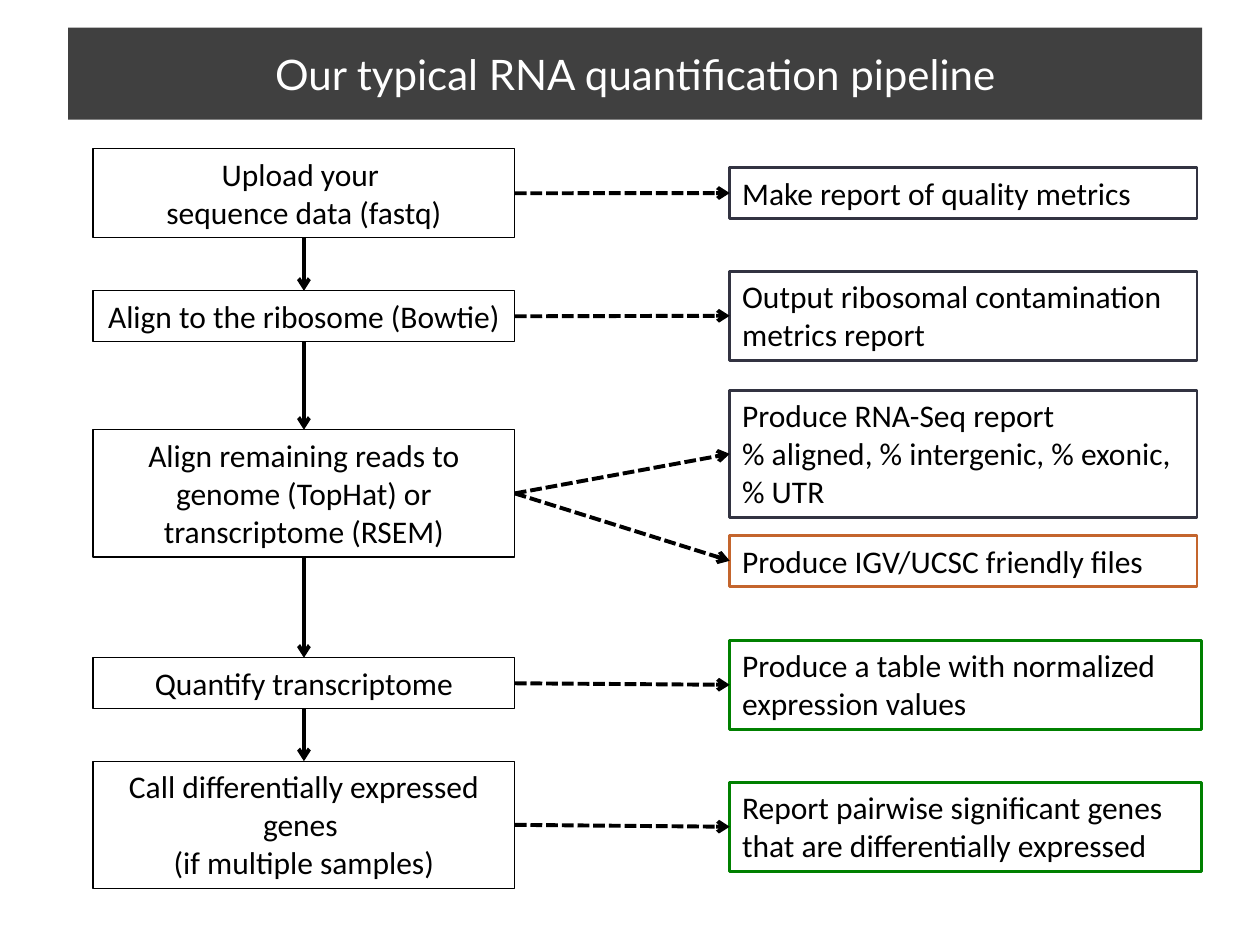
from lxml.etree import SubElement
from pptx import Presentation
from pptx.dml.color import RGBColor
from pptx.enum.dml import MSO_LINE
from pptx.enum.shapes import MSO_CONNECTOR
from pptx.enum.text import MSO_ANCHOR, MSO_AUTO_SIZE, PP_ALIGN
from pptx.oxml.ns import qn
from pptx.util import Pt

BLACK, WHITE, CHARCOAL = "000000", "FFFFFF", "404040"
NAVY, ORANGE, GREEN = "323341", "C4652D", "008000"
STEP_LEFT, STEP_WIDTH = 53.2, 241
OUTPUT_LEFT, OUTPUT_WIDTH, TABLE_WIDTH = 417, 267, 269.5
BOX_HEIGHT = {1: 29.1, 2: 50.9, 3: 72.7}  # by number of text lines
TOP, LEFT, BOTTOM, RIGHT = range(4)  # connection sites of a rectangle

# Top, lines, text
STEPS = [
    (85, 2, "Upload your \nsequence data (fastq)"),
    (166.2, 1, "Align to the ribosome (Bowtie)"),
    (245.6, 3, "Align remaining reads to genome (TopHat) or transcriptome (RSEM)"),
    (375.9, 1, "Quantify transcriptome"),
    (435, 3, "Call differentially expressed genes \n(if multiple samples)"),
]
# Index of the step, top, lines, width, colour, text
OUTPUTS = [
    (0, 95.8, 1, OUTPUT_WIDTH, NAVY, "Make report of quality metrics"),
    (1, 155, 2, OUTPUT_WIDTH, NAVY, "Output ribosomal contamination metrics report"),
    (2, 223, 3, OUTPUT_WIDTH, NAVY,
     "Produce RNA-Seq report\n% aligned, % intergenic, % exonic, % UTR"),
    (2, 305.9, 1, OUTPUT_WIDTH, ORANGE, "Produce IGV/UCSC friendly files"),
    (3, 365.9, 2, TABLE_WIDTH, GREEN,
     "Produce a table with normalized expression values"),
    (4, 447, 2, TABLE_WIDTH, GREEN,
     "Report pairwise significant genes that are differentially expressed"),
]


def rgb(value):
    return RGBColor.from_string(value)


def add_text(slide, left, top, width, height, text, align,
             size=18, font="Calibri", color=BLACK):
    box = slide.shapes.add_textbox(Pt(left), Pt(top), Pt(width), Pt(height))
    frame = box.text_frame
    frame.word_wrap = True
    frame.text = text
    for paragraph in frame.paragraphs:
        paragraph.alignment = align
        for run in paragraph.runs:
            run.font.size = Pt(size)
            run.font.name = font
            run.font.color.rgb = rgb(color)
    return box


def add_title(slide, text):
    title = add_text(slide, 39, 15.8, 648, 52.6, text, PP_ALIGN.CENTER,
                     24, "Lato", WHITE)
    title.text_frame.vertical_anchor = MSO_ANCHOR.MIDDLE
    title.fill.solid()
    title.fill.fore_color.rgb = rgb(CHARCOAL)


def add_framed_text(slide, left, top, width, lines, text, align, color, weight):
    box = add_text(slide, left, top, width, BOX_HEIGHT[lines], text, align)
    box.text_frame.auto_size = MSO_AUTO_SIZE.SHAPE_TO_FIT_TEXT
    box.line.color.rgb = rgb(color)
    box.line.width = Pt(weight)
    return box


def add_arrow(slide, source, source_site, target, target_site, dashed=False):
    arrow = slide.shapes.add_connector(MSO_CONNECTOR.STRAIGHT, 0, 0, 0, 0)
    arrow.begin_connect(source, source_site)
    arrow.end_connect(target, target_site)
    arrow.line.color.rgb = rgb(BLACK)
    arrow.line.width = Pt(2.25)
    if dashed:
        arrow.line.dash_style = MSO_LINE.SQUARE_DOT  # sysDash
    SubElement(arrow.line._get_or_add_ln(), qn("a:tailEnd"), type="arrow")
    SubElement(arrow._element.spPr, qn("a:effectLst"))


def main():
    prs = Presentation()
    prs.slide_width, prs.slide_height = Pt(720), Pt(540)
    slide = prs.slides.add_slide(prs.slide_layouts[6])

    add_title(slide, "Our typical RNA quantification pipeline")

    # Pipeline steps, top to bottom
    steps = [
        add_framed_text(slide, STEP_LEFT, top, STEP_WIDTH, lines, text,
                        PP_ALIGN.CENTER, BLACK, 0.75)
        for top, lines, text in STEPS
    ]
    for step, next_step in zip(steps, steps[1:]):
        add_arrow(slide, step, BOTTOM, next_step, TOP)

    # Outputs of each step
    for step_index, top, lines, width, color, text in OUTPUTS:
        output = add_framed_text(slide, OUTPUT_LEFT, top, width, lines, text,
                                 PP_ALIGN.LEFT, color, 1.5)
        add_arrow(slide, steps[step_index], RIGHT, output, LEFT, dashed=True)

    prs.save("out.pptx")


if __name__ == "__main__":
    main()
